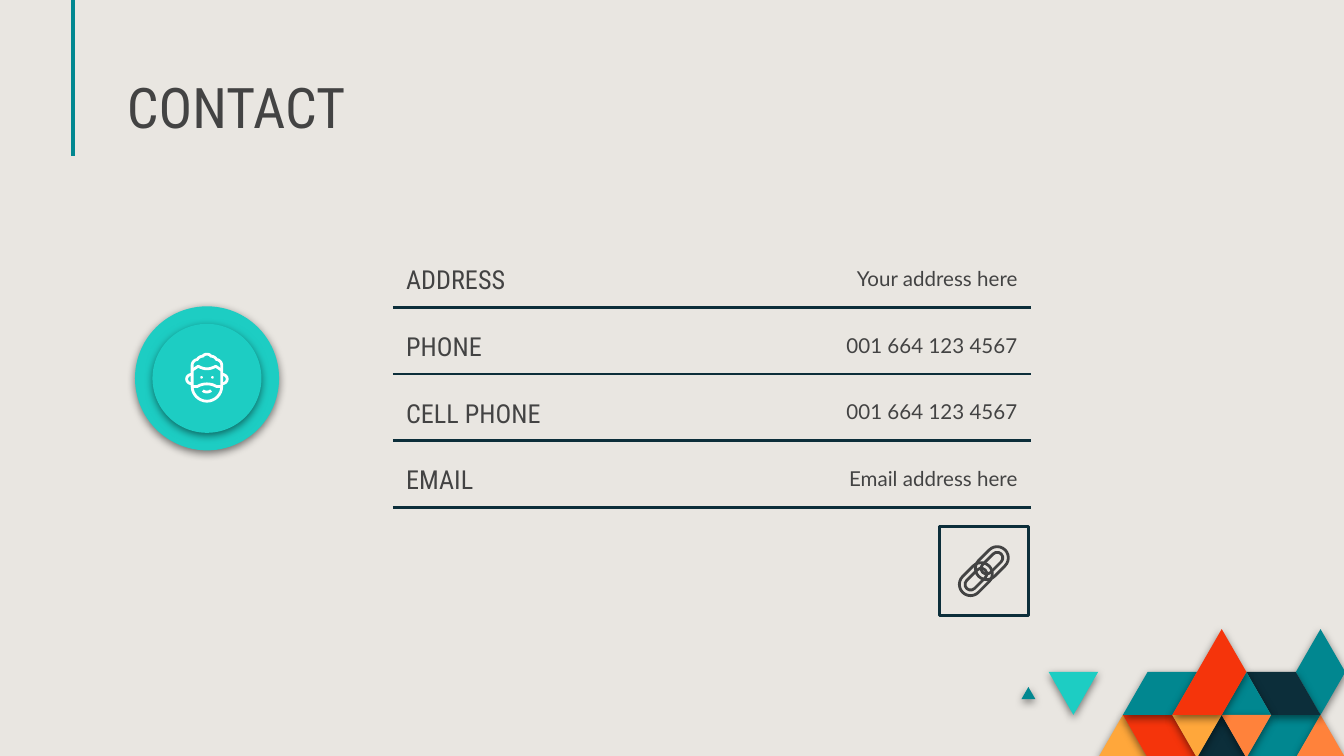
from lxml import etree
from pptx import Presentation
from pptx import util as u
from pptx.dml.color import RGBColor
from pptx.enum import shapes, text
from pptx.oxml.ns import qn

COLORS = {
    "paper": "E9E6E1", "ink": "434343", "navy": "0C2E3A", "teal": "018790",
    "aqua": "1DCDC3", "red": "F5340B", "amber": "FFA73B", "orange": "FF823B",
    "white": "FFFFFF",
}
HEADING_FONT = "Roboto Condensed"
BODY_FONT = "Lato"


def color(name):
    return RGBColor.from_string(COLORS[name])


def bezier(start, first, second, end, steps=8):
    """Points along a cubic curve, without its start."""
    points = []
    for step in range(1, steps + 1):
        t = step / steps
        weights = ((1 - t) ** 3, 3 * t * (1 - t) ** 2, 3 * t * t * (1 - t), t ** 3)
        points.append(tuple(
            sum(w * point[axis] for w, point in zip(weights, (start, first, second, end)))
            for axis in (0, 1)))
    return points


def trace(start, *segments):
    """Join straight segments (one point) and curves (three points)."""
    points = [start]
    for segment in segments:
        if len(segment) == 1:
            points.append(segment[0])
        else:
            points.extend(bezier(points[-1], *segment))
    return points


class SlideBuilder:
    def __init__(self, slide):
        self.slide = slide
        slide.background.fill.solid()
        slide.background.fill.fore_color.rgb = color("paper")

    def style(self, shape, fill=None, line=None, width=1.5, shadow=False):
        shape.shadow.inherit = False
        if fill:
            shape.fill.solid()
            shape.fill.fore_color.rgb = color(fill)
        else:
            shape.fill.background()
        if line:
            shape.line.color.rgb = color(line)
            shape.line.width = u.Pt(width)
        else:
            shape.line.fill.background()
        if shadow:
            effects = shape._element.spPr.find(qn("a:effectLst"))
            outer = etree.SubElement(
                effects, qn("a:outerShdw"), blurRad=str(u.Pt(4.5)), dist=str(u.Pt(1.5)),
                dir="5400000", algn="bl", rotWithShape="0")
            black = etree.SubElement(outer, qn("a:srgbClr"), val="000000")
            etree.SubElement(black, qn("a:alpha"), val="50000")
        return shape

    def fill_text(self, shape, words, size, font, align, anchor):
        frame = shape.text_frame
        frame.word_wrap = True
        frame.auto_size = text.MSO_AUTO_SIZE.NONE
        frame.vertical_anchor = anchor
        frame.margin_left = frame.margin_right = u.Pt(7.2)
        frame.margin_top = frame.margin_bottom = u.Pt(7.2)
        paragraph = frame.paragraphs[0]
        paragraph.alignment = align
        run = paragraph.add_run()
        run.text = words
        run.font.size = u.Pt(size)
        run.font.name = font
        run.font.color.rgb = color("ink")
        return paragraph

    def title(self, words, left, top, width, height):
        shape = self.slide.shapes.title
        shape.left, shape.top = u.Pt(left), u.Pt(top)
        shape.width, shape.height = u.Pt(width), u.Pt(height)
        paragraph = self.fill_text(shape, words, 30, HEADING_FONT,
                                   text.PP_ALIGN.LEFT, text.MSO_ANCHOR.BOTTOM)
        paragraph.line_spacing = 0.8

    def textbox(self, words, left, top, width, height, size, font, align, anchor):
        shape = self.slide.shapes.add_textbox(
            u.Pt(left), u.Pt(top), u.Pt(width), u.Pt(height))
        self.fill_text(shape, words, size, font, align, anchor)

    def line(self, x1, y1, x2, y2, line, width):
        connector = self.slide.shapes.add_connector(
            shapes.MSO_CONNECTOR.STRAIGHT, u.Pt(x1), u.Pt(y1), u.Pt(x2), u.Pt(y2))
        connector.line.color.rgb = color(line)
        connector.line.width = u.Pt(width)
        etree.SubElement(connector._element.spPr, qn("a:effectLst"))

    def preset(self, kind, center_x, center_y, width, height, **style):
        shape = self.slide.shapes.add_shape(
            kind, u.Pt(center_x - width / 2), u.Pt(center_y - height / 2),
            u.Pt(width), u.Pt(height))
        return self.style(shape, **style)

    def outline(self, contours, close, **style):
        contours = [[(u.Pt(x), u.Pt(y)) for x, y in contour] for contour in contours]
        builder = self.slide.shapes.build_freeform(*contours[0][0], scale=1.0)
        for index, contour in enumerate(contours):
            if index:
                builder.move_to(*contour[0])
            builder.add_line_segments(contour[1:], close=close)
        return self.style(builder.convert_to_shape(), **style)


def draw_triangles(builder):
    # Corners are (half-side column, row) on a triangular grid
    left, top, half_side, row_height = 588.3, 337, 13.24, 23
    tiles = [
        ("amber", [(0, 3), (1, 2), (2, 3)]),
        ("red", [(1, 2), (3, 2), (4, 3), (2, 3)]),
        ("teal", [(6, 3), (7, 2), (9, 2), (8, 3)]),
        ("orange", [(8, 3), (9, 2), (10, 3)]),
        ("navy", [(4, 3), (5, 2), (6, 3)]),
        ("teal", [(1, 2), (2, 1), (4, 1), (3, 2)]),
        ("teal", [(-3.1, 1.63), (-2.82, 1.35), (-2.54, 1.63)]),
        ("aqua", [(-2, 1), (0, 1), (-1, 2)]),
        ("teal", [(8, 1), (9, 0), (10, 1), (9, 2)]),
        ("navy", [(6, 1), (8, 1), (9, 2), (7, 2)]),
        ("teal", [(5, 2), (6, 1), (7, 2)]),
        ("orange", [(5, 2), (7, 2), (6, 3)]),
        ("amber", [(3, 2), (5, 2), (4, 3)]),
        ("red", [(3, 2), (5, 0), (6, 1), (5, 2)]),
    ]
    for fill, corners in tiles:
        points = [(left + column * half_side, top + row * row_height)
                  for column, row in corners]
        builder.outline([points], True, fill=fill, shadow=True)


def draw_face(builder, x, y):
    oval = shapes.MSO_SHAPE.OVAL
    for diameter in (77.2, 58.4):
        builder.preset(oval, x, y, diameter, diameter, fill="aqua", shadow=True)
    # Strokes are offsets from the centre, in hundredths of an inch
    strokes = [
        trace((-11, -10), [(-11, -12), (-9, -14), (-7, -14)],
              [(-7, -15), (-5, -16.5), (-3, -16.5)], [(-2, -18.5), (2, -18.5), (3, -16.5)],
              [(5, -16.5), (7, -15), (7, -14)], [(9, -14), (11, -12), (11, -10)],
              [(11, 6)], [(11, 12), (6, 17), (0, 17)], [(-6, 17), (-11, 12), (-11, 6)],
              [(-11, -10)]),
        trace((-11, -6), [(-6.5, -9)], [(-2, -6.5), (2, -6.5), (6.5, -9)], [(11, -6)]),
        trace((-11, 6), [(-7, 6)], [(-3, 3.5), (3, 3.5), (7, 6)], [(11, 6)]),
        trace((-3, 9), [(-2, 10.5), (2, 10.5), (3, 9)]),
    ]
    for side in (-1, 1):
        strokes.append(trace((side * 11, 4), [(side * 16.5, 4), (side * 16.5, -3), (side * 11, -3)]))
    builder.outline([[(x + dx * 0.72, y + dy * 0.72) for dx, dy in stroke]
                     for stroke in strokes], False, line="white")
    for side in (-1, 1):
        builder.preset(oval, x + side * 2.9, y - 0.5, 1.4, 1.4, fill="white")


def draw_link(builder, x, y):
    for offset in (4.3, -4.3):
        for width, height in ((20, 12), (14, 6)):
            ring = builder.preset(shapes.MSO_SHAPE.ROUNDED_RECTANGLE, x + offset, y - offset,
                                  width, height, line="ink")
            ring.adjustments[0] = 0.5
            ring.rotation = -45


def main():
    presentation = Presentation()
    presentation.slide_width, presentation.slide_height = u.Pt(720), u.Pt(405)
    builder = SlideBuilder(presentation.slides.add_slide(presentation.slide_layouts[5]))

    # Decoration and title
    builder.line(38.9, -5, 38.9, 83.5, "teal", 2.25)
    draw_triangles(builder)
    builder.title("CONTACT", 60.8, 36.6, 299.5, 45.4)

    # Contact rows
    rows = [
        ("ADDRESS", "Your address here"),
        ("PHONE", "001 664 123 4567"),
        ("CELL PHONE", "001 664 123 4567"),
        ("EMAIL", "Email address here"),
    ]
    for index, (label, value) in enumerate(rows):
        top = 134.1 + index * 35.7
        builder.line(210.5, top + 30.6, 552.3, top + 30.6, "navy", 1.5)
        builder.textbox(label, 210.5, top, 154.8, 28.8, 14, HEADING_FONT,
                        text.PP_ALIGN.LEFT, text.MSO_ANCHOR.TOP)
        builder.textbox(value, 368, top, 184.3, 28.8, 11, BODY_FONT,
                        text.PP_ALIGN.RIGHT, text.MSO_ANCHOR.BOTTOM)

    # Icons
    draw_face(builder, 110.9, 202.7)
    builder.preset(shapes.MSO_SHAPE.RECTANGLE, 527.1, 306, 47.6, 47.6, line="navy")
    draw_link(builder, 527.1, 306)

    presentation.save("out.pptx")


if __name__ == "__main__":
    main()
